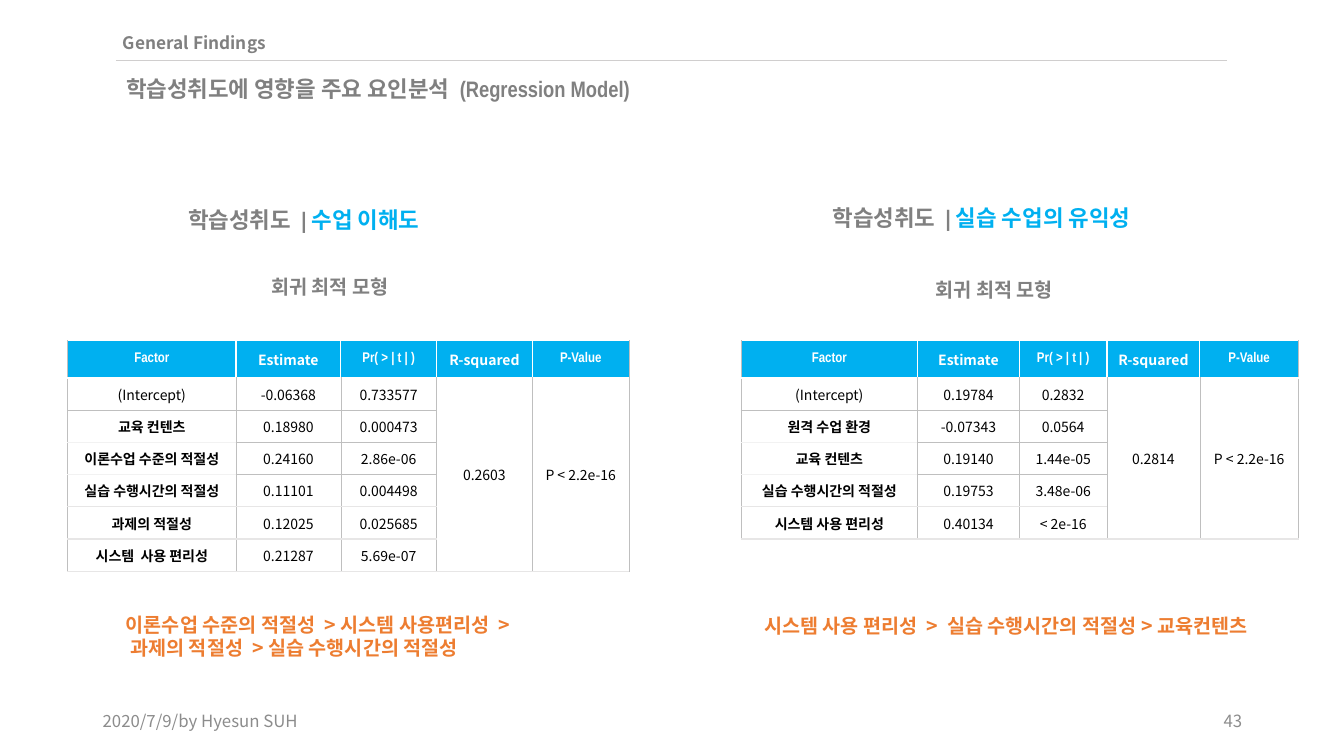
"""Build the regression findings slide."""
import dataclasses
import typing

import lxml.etree
import pptx
import pptx.dml.color
import pptx.enum.shapes
import pptx.enum.text
import pptx.oxml.ns
import pptx.util

Inches = pptx.util.Inches
RGBColor = pptx.dml.color.RGBColor
Align = pptx.enum.text.PP_ALIGN
Anchor = pptx.enum.text.MSO_ANCHOR

GREY = RGBColor(0x80, 0x80, 0x80)
FOOTER_GREY = RGBColor(0x8C, 0x8C, 0x8C)
RULE_GREY = RGBColor(0xD0, 0xCE, 0xCE)
GRID_GREY = RGBColor(0xBF, 0xBF, 0xBF)
ROW_GREY = RGBColor(0xE7, 0xE6, 0xE6)
FACTOR_GREY = RGBColor(0xF2, 0xF2, 0xF2)
BLUE = RGBColor(0x00, 0xB0, 0xF0)
ORANGE = RGBColor(0xED, 0x7D, 0x31)
WHITE = RGBColor(0xFF, 0xFF, 0xFF)
BLACK = RGBColor(0x00, 0x00, 0x00)
NARROW = "Arial Narrow"
NOTO = "Noto Sans CJK KR"


@dataclasses.dataclass(frozen=True)
class Style:
    size: float
    color: RGBColor
    font: str = NARROW
    bold: bool = True


class Border(typing.NamedTuple):
    color: RGBColor
    width: float


@dataclasses.dataclass(frozen=True)
class Label:
    box: tuple[float, float, float, float]
    runs: list[tuple[str, Style]]
    insets: tuple[float, float] = (0.1, 0.05)
    align: Align = Align.LEFT
    anchor: Anchor = Anchor.TOP


@dataclasses.dataclass(frozen=True)
class Model:
    left: float
    widths: list[float]
    r_squared: str
    factors: list[tuple[str, str, str]]


GRID = Border(GRID_GREY, 0.25)
HEADER_EDGE = Border(WHITE, 1)
ROW_EDGE = Border(ROW_GREY, 1)
FACTOR_EDGE = Border(FACTOR_GREY, 1)

HEADING = Style(16, GREY)
HIGHLIGHT = Style(16, BLUE)
SUBHEADING = Style(14, GREY)
RANKING = Style(14, ORANGE, NOTO)
FOOTER = Style(12, FOOTER_GREY, NOTO, False)
FACTOR = Style(10, BLACK)
VALUE = Style(10, BLACK, NOTO, False)

TABLE_TOP, HEADER_HEIGHT, ROW_HEIGHT = 3.38, 0.37, 0.32
HEADERS = [("Factor", NARROW), ("Estimate", NOTO), ("Pr( > | t | )", NARROW),
           ("R-squared", NOTO), ("P-Value", NARROW)]
FIRST_MERGED = 3

TITLE = Label((1.15, 0.7, 7.55, 0.37),
              [("학습성취도에 영향을 주요 요인분석  (Regression Model)", HEADING)])
LABELS = [
    Label((1.15, 0.29, 6.7, 0.28), [("General Findings", Style(12.3, GREY, NOTO))], (0.07, 0.03)),
    Label((1.77, 2, 3.67, 0.37), [("학습성취도  | ", HEADING), ("수업 이해도", HIGHLIGHT)]),
    Label((8.16, 1.98, 3.57, 0.37), [("학습성취도  | ", HEADING), ("실습 수업의 유익성", HIGHLIGHT)]),
    Label((2.59, 2.68, 2.2, 0.34), [("회귀 최적 모형", SUBHEADING)]),
    Label((9.18, 2.71, 2.17, 0.34), [("회귀 최적 모형", SUBHEADING)]),
    Label((1.15, 6.03, 4.86, 0.57),
          [("이론수업 수준의 적절성  > 시스템 사용편리성  >\n 과제의 적절성  > 실습 수행시간의 적절성", RANKING)]),
    Label((7.48, 6.04, 5.86, 0.34),
          [("시스템 사용 편리성  >  실습 수행시간의 적절성 > 교육컨텐츠", RANKING)]),
    Label((0.92, 6.95, 3, 0.4), [("2020/7/9/by Hyesun SUH", FOOTER)], anchor=Anchor.MIDDLE),
    Label((9.42, 6.95, 3, 0.4), [("43", FOOTER)], align=Align.RIGHT, anchor=Anchor.MIDDLE),
]
MODELS = [
    Model(0.67, [1.67, 1.04, 0.95, 0.95, 0.96], "0.2603", [
        ("(Intercept)", "-0.06368", "0.733577"),
        ("교육 컨텐츠", "0.18980", "0.000473"),
        ("이론수업 수준의 적절성", "0.24160", "2.86e-06"),
        ("실습 수행시간의 적절성", "0.11101", "0.004498"),
        ("과제의 적절성", "0.12025", "0.025685"),
        ("시스템  사용 편리성", "0.21287", "5.69e-07")]),
    Model(7.35, [1.75, 1.01, 0.87, 0.92, 0.98], "0.2814", [
        ("(Intercept)", "0.19784", "0.2832"),
        ("원격 수업 환경", "-0.07343", "0.0564"),
        ("교육 컨텐츠", "0.19140", "1.44e-05"),
        ("실습 수행시간의 적절성", "0.19753", "3.48e-06"),
        ("시스템 사용 편리성", "0.40134", "< 2e-16")]),
]


def add_run(paragraph, text: str, style: Style) -> None:
    for index, line in enumerate(text.split("\n")):
        if index:
            paragraph.add_line_break()
        run = paragraph.add_run()
        run.text = line
        run.font.size = pptx.util.Pt(style.size)
        run.font.bold = style.bold
        run.font.color.rgb = style.color
        run.font.name = style.font
        east_asian = lxml.etree.SubElement(run.font._element, pptx.oxml.ns.qn("a:ea"))
        east_asian.set("typeface", NOTO)


def write_label(shape, label: Label) -> None:
    shape.left, shape.top, shape.width, shape.height = map(Inches, label.box)
    frame = shape.text_frame
    frame.word_wrap = True
    frame.auto_size = pptx.enum.text.MSO_AUTO_SIZE.NONE
    frame.vertical_anchor = label.anchor
    frame.margin_left = frame.margin_right = Inches(label.insets[0])
    frame.margin_top = frame.margin_bottom = Inches(label.insets[1])
    paragraph = frame.paragraphs[0]
    paragraph.alignment = label.align
    for text, style in label.runs:
        add_run(paragraph, text, style)


def bottom_border(row: int, column: int) -> Border:
    if row == 0:
        return HEADER_EDGE
    if column >= FIRST_MERGED or row >= 4:
        return ROW_EDGE
    return FACTOR_EDGE if column == 0 and row > 1 else GRID


def set_borders(cell, row: int, column: int) -> None:
    inner = HEADER_EDGE if row == 0 else GRID
    borders = {
        "a:lnL": GRID if column == 0 else inner,
        "a:lnR": GRID if column == len(HEADERS) - 1 else inner,
        "a:lnT": bottom_border(max(row - 1, 0), column),
        "a:lnB": bottom_border(row, column),
    }
    properties = cell._tc.get_or_add_tcPr()
    for position, (tag, border) in enumerate(borders.items()):
        line = lxml.etree.Element(pptx.oxml.ns.qn(tag), w=str(pptx.util.Pt(border.width)))
        fill = lxml.etree.SubElement(line, pptx.oxml.ns.qn("a:solidFill"))
        lxml.etree.SubElement(fill, pptx.oxml.ns.qn("a:srgbClr"), val=str(border.color))
        properties.insert(position, line)


def add_model(slide, model: Model) -> None:
    count = len(model.factors)
    table = slide.shapes.add_table(
        count + 1, len(HEADERS), Inches(model.left), Inches(TABLE_TOP),
        Inches(sum(model.widths)), Inches(HEADER_HEIGHT + count * ROW_HEIGHT)).table
    table.first_row = table.horz_banding = False
    for column, width in zip(table.columns, model.widths):
        column.width = Inches(width)
    rows = [[(text, Style(10, WHITE, font)) for text, font in HEADERS]]
    for index, (factor, *values) in enumerate(model.factors):
        shared = [model.r_squared, "P < 2.2e-16"] if index == 0 else []
        rows.append([(factor, FACTOR if index else VALUE)]
                    + [(text, VALUE) for text in values + shared])
    for row in range(count + 1):
        table.rows[row].height = Inches(ROW_HEIGHT if row else HEADER_HEIGHT)
        for column in range(len(HEADERS)):
            cell = table.cell(row, column)
            cell.vertical_anchor = Anchor.MIDDLE
            cell.margin_left = cell.margin_right = Inches(0.05)
            if row:
                cell.fill.background()
            else:
                cell.fill.solid()
                cell.fill.fore_color.rgb = BLUE
            set_borders(cell, row, column)
            if column < len(rows[row]):
                paragraph = cell.text_frame.paragraphs[0]
                paragraph.alignment = Align.CENTER
                add_run(paragraph, *rows[row][column])
    for column in range(FIRST_MERGED, len(HEADERS)):
        table.cell(1, column).merge(table.cell(count, column))


def add_rule(slide) -> None:
    rule = slide.shapes.add_connector(pptx.enum.shapes.MSO_CONNECTOR.STRAIGHT,
                                      Inches(1.15), Inches(0.6), Inches(12.17), Inches(0.6))
    rule.line.color.rgb = RULE_GREY
    rule.line.width = pptx.util.Pt(0.5)
    lxml.etree.SubElement(rule._element.spPr, pptx.oxml.ns.qn("a:effectLst"))


def main() -> None:
    presentation = pptx.Presentation()
    presentation.slide_width, presentation.slide_height = Inches(13.33), Inches(7.5)
    slide = presentation.slides.add_slide(presentation.slide_layouts[5])
    write_label(slide.shapes.title, TITLE)
    add_rule(slide)
    for model in MODELS:
        add_model(slide, model)
    for label in LABELS:
        write_label(slide.shapes.add_textbox(*map(Inches, label.box)), label)
    presentation.save("out.pptx")


if __name__ == "__main__":
    main()
